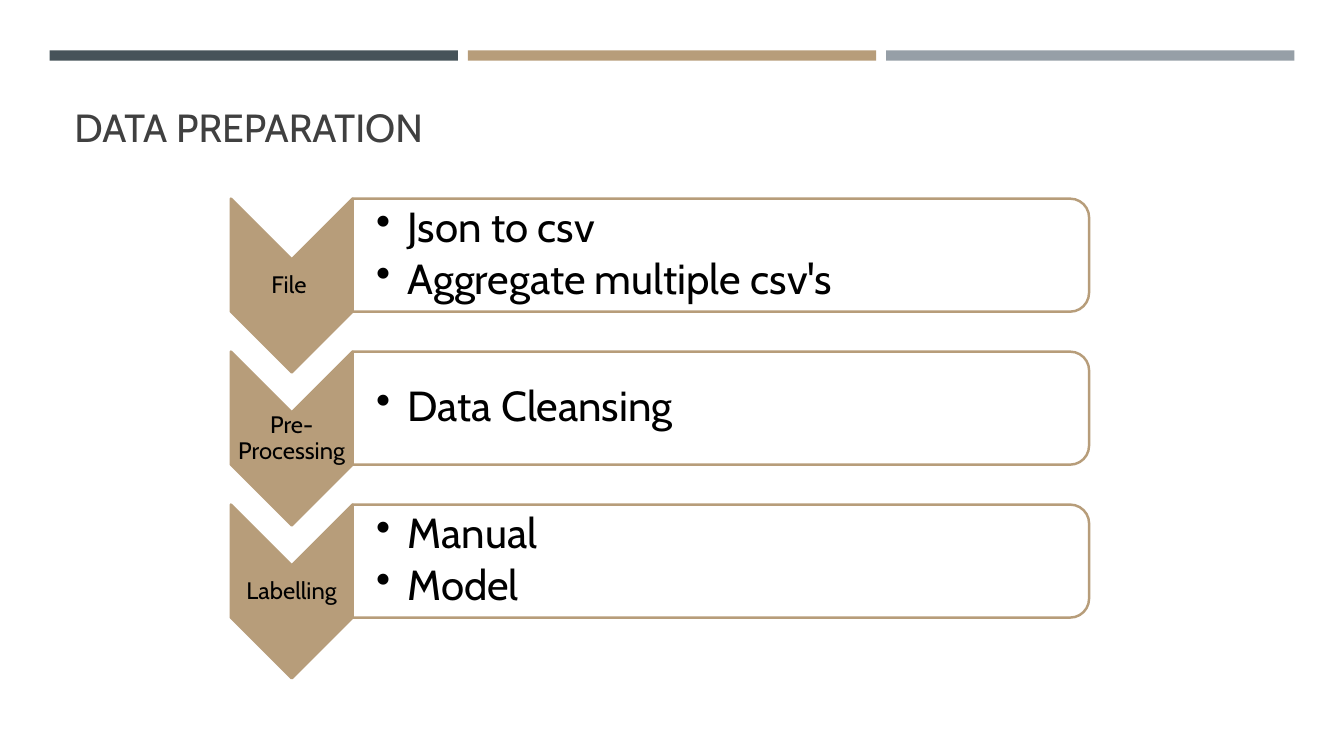
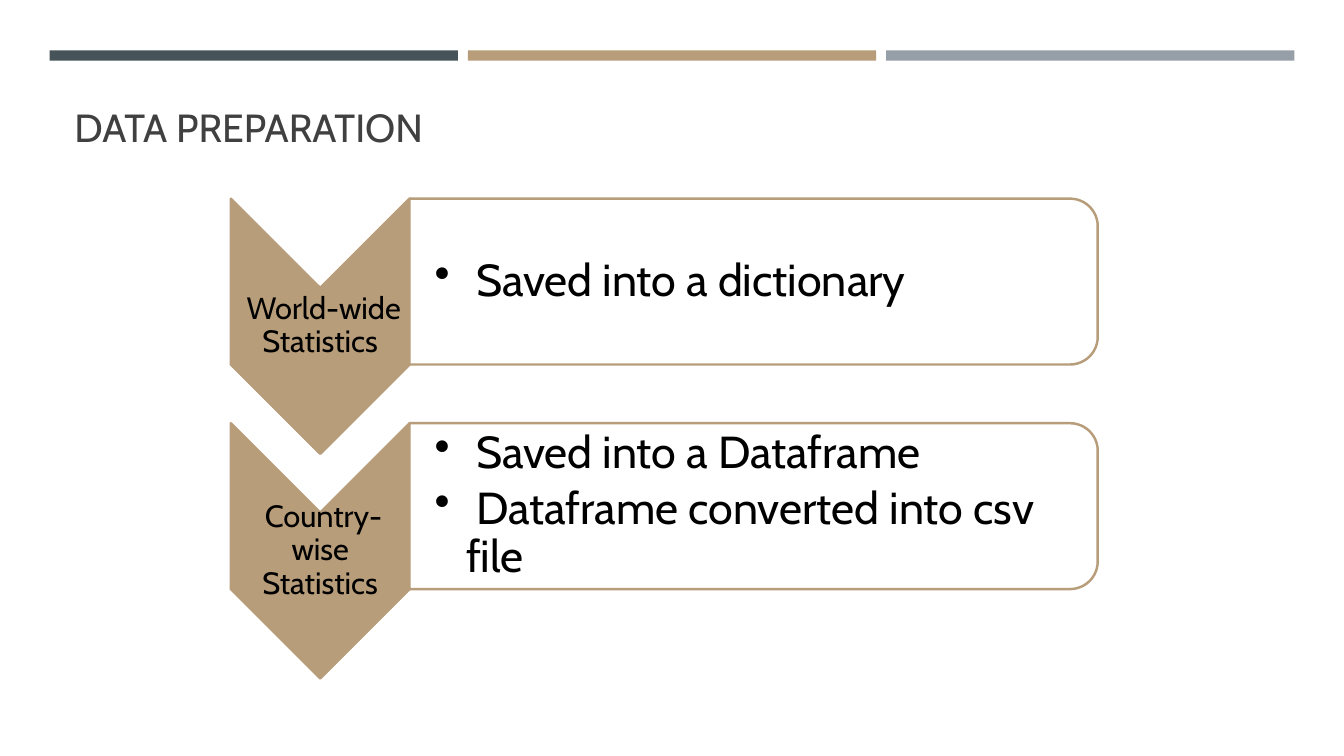
from dataclasses import dataclass

from lxml import etree
from pptx import Presentation
from pptx.dml import color
from pptx.enum import shapes, text
from pptx.oxml import ns
from pptx.util import Pt


def rgb(value):
    return color.RGBColor.from_string(value)


@dataclass(frozen=True)
class Theme:
    font: str = "Cabin"
    tan: color.RGBColor = rgb("B79D7A")
    bands: tuple = (rgb("465359"), rgb("B79D7A"), rgb("969FA7"))
    title: color.RGBColor = rgb("404040")
    ink: color.RGBColor = rgb("000000")
    panel: color.RGBColor = rgb("FFFFFF")
    panel_alpha: int = 90
    title_size: int = 28
    outline: float = 1.75
    bullet_indent: float = 22.5


THEME = Theme()
BAND_BOX = (35.4, 36, 889.2, 7.3)
BAND_GAP = 7.2
TITLE_BOX = (46.1, 55.4, 868.3, 55.4)

SLIDES = [
    {
        "title": "DATA PREPARATION",
        "box": (164.9, 141.9, 613, 342.7),
        "label_size": 17,
        "body_size": 30,
        "steps": [
            ("File ", ["Json to csv", "Aggregate multiple csv's"]),
            ("Pre-Processing", ["Data Cleansing"]),
            ("Labelling", ["Manual", "Model"]),
        ],
    },
    {
        "title": "DATA PREPARATION",
        "box": (164.9, 141.9, 619.2, 342.7),
        "label_size": 22,
        "body_size": 32,
        "steps": [
            (" World-wide Statistics", [" Saved into a dictionary"]),
            (" Country-wise Statistics",
             [" Saved into a Dataframe", " Dataframe converted into csv file"]),
        ],
    },
]


def add_filled(s, kind, box, fill, outline=None):
    sp = s.shapes.add_shape(kind, *map(Pt, box))
    sp.shadow.inherit = False
    sp.fill.solid()
    sp.fill.fore_color.rgb = fill
    if outline is None:
        sp.line.fill.background()
    else:
        sp.line.color.rgb = outline
        sp.line.width = Pt(THEME.outline)
    return sp


def add_quarter_turned(s, kind, box, fill):
    x, y, w, h = box
    unturned = (x + (w - h) / 2, y + (h - w) / 2, h, w)
    sp = add_filled(s, kind, unturned, fill, THEME.tan)
    sp.rotation = 90
    return sp


def add_text(s, box, lines, size, ink, anchor, insets):
    tf = s.shapes.add_textbox(*map(Pt, box)).text_frame
    tf.word_wrap = True
    tf.vertical_anchor = anchor
    tf.margin_left, tf.margin_top, tf.margin_right, tf.margin_bottom = map(Pt, insets)
    tf.text = "\n".join(lines)
    for p in tf.paragraphs:
        for r in p.runs:
            r.font.name = THEME.font
            r.font.size = Pt(size)
            r.font.color.rgb = ink
    return tf


def add_bullet(p):
    pPr = p._p.get_or_add_pPr()
    indent = Pt(THEME.bullet_indent)
    pPr.set("marL", str(indent))
    pPr.set("indent", str(-indent))
    etree.SubElement(pPr, ns.qn("a:buChar")).set("char", "•")


def draw_bands(s, box):
    x, y, w, h = box
    count = len(THEME.bands)
    band_w = (w - BAND_GAP * (count - 1)) / count
    for i, fill in enumerate(THEME.bands):
        band = (x + i * (band_w + BAND_GAP), y, band_w, h)
        add_filled(s, shapes.MSO_SHAPE.RECTANGLE, band, fill)


def draw_title(s, box, title):
    add_text(s, box, [title], THEME.title_size, THEME.title,
             text.MSO_ANCHOR.BOTTOM, (7.2, 3.6, 7.2, 3.6))


def draw_chevron(s, box, label, size):
    x, y, w, h = box
    add_quarter_turned(s, shapes.MSO_SHAPE.CHEVRON, box, THEME.tan)
    tf = add_text(s, (x, y + 0.35 * h, w, 0.3 * h), [label], size, THEME.ink,
                  text.MSO_ANCHOR.MIDDLE, (1, 1, 1, 1))
    p = tf.paragraphs[0]
    p.alignment = text.PP_ALIGN.CENTER
    p.line_spacing = 0.9


def draw_panel(s, box, lines, size):
    x, y, w, h = box
    sp = add_quarter_turned(s, shapes.MSO_SHAPE.ROUND_2_SAME_RECTANGLE, box, THEME.panel)
    clr = sp._element.spPr.find(ns.qn("a:solidFill"))[0]
    etree.SubElement(clr, ns.qn("a:alpha")).set("val", str(THEME.panel_alpha * 1000))
    inset = 0.05 * h
    tf = add_text(s, (x, y + inset, w - inset, h - 2 * inset), lines, size, THEME.ink,
                  text.MSO_ANCHOR.MIDDLE, (0.56 * size, 1.4, 1.4, 1.4))
    for p in tf.paragraphs:
        p.level = 1
        p.line_spacing = 0.9
        p.space_after = Pt(0.15 * size)
        add_bullet(p)


def draw_steps(s, box, steps, label_size, body_size):
    x, y, w, h = box
    pitch_ratio = 0.88
    chevron_h = h / (1 + pitch_ratio * (len(steps) - 1))
    chevron_w = 0.7 * chevron_h
    for i, (label, lines) in enumerate(steps):
        top = y + i * pitch_ratio * chevron_h
        draw_chevron(s, (x, top, chevron_w, chevron_h), label, label_size)
        draw_panel(s, (x + chevron_w, top, w - chevron_w, 0.65 * chevron_h),
                   lines, body_size)


def build_slide(prs, content):
    s = prs.slides.add_slide(prs.slide_layouts[6])
    draw_bands(s, BAND_BOX)
    draw_title(s, TITLE_BOX, content["title"])
    draw_steps(s, content["box"], content["steps"],
               content["label_size"], content["body_size"])


def main():
    prs = Presentation()
    prs.slide_width, prs.slide_height = Pt(960), Pt(540)
    for content in SLIDES:
        build_slide(prs, content)
    prs.save("out.pptx")


if __name__ == "__main__":
    main()
